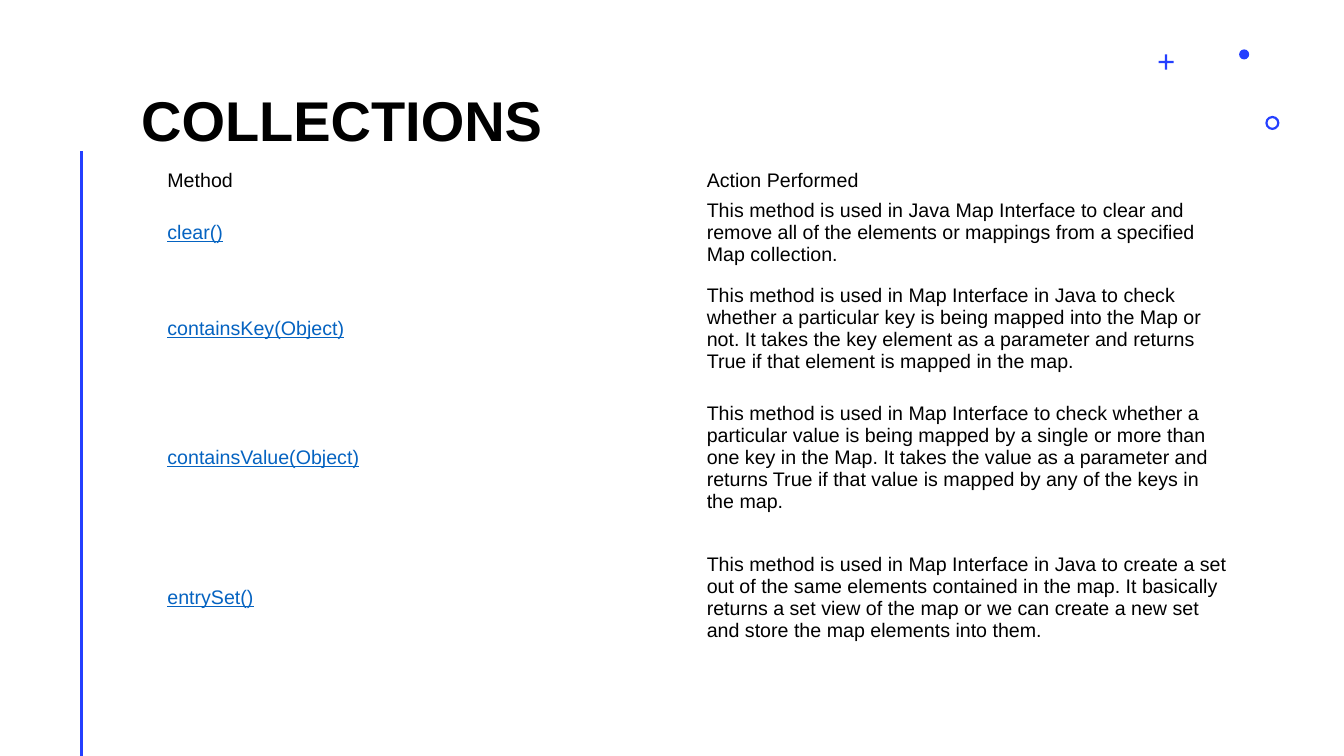
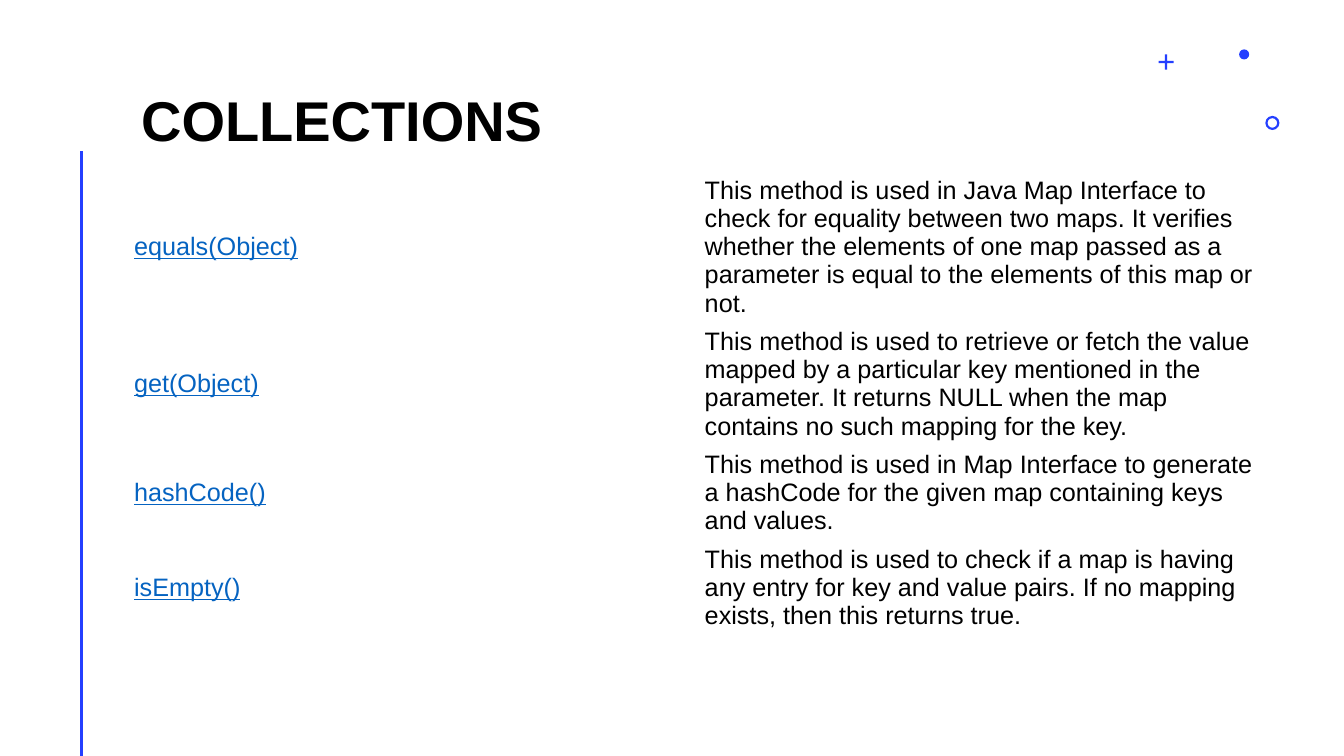
from pptx import Presentation
from pptx.dml.color import RGBColor
from pptx.enum.shapes import MSO_CONNECTOR, MSO_SHAPE
from pptx.enum.text import MSO_ANCHOR, MSO_AUTO_SIZE, PP_ALIGN
from pptx.oxml.ns import qn
from pptx.util import Inches, Pt
from lxml import etree

ACCENT = RGBColor(0x24, 0x3F, 0xFF)
LINK = RGBColor(0x05, 0x63, 0xC1)
BLACK = RGBColor(0x00, 0x00, 0x00)
FONT = "Arial"

# Accent marks: preset, left, top, size, adjustment
MARKS = [
    (MSO_SHAPE.CROSS, 11.49, 0.54, 0.15, 0.43),
    (MSO_SHAPE.DONUT, 12.55, 1.15, 0.14, 0.16),
    (MSO_SHAPE.OVAL, 12.29, 0.49, 0.1, None),
]

# One method table per slide
TABLES = [
    {
        "left": 1.58, "top": 1.64, "column": 5.35, "size": 14,
        "heights": [0.29, 0.73, 1.17, 1.39, 1.39],
        "margins": (0.08, 0.04),
        "rows": [
            ("Method", "Action Performed"),
            ("clear()",
             "This method is used in Java Map Interface to clear and remove all of "
             "the elements or mappings from a specified Map collection."),
            ("containsKey(Object)",
             "This method is used in Map Interface in Java to check whether a "
             "particular key is being mapped into the Map or not. It takes the key "
             "element as a parameter and returns True if that element is mapped in "
             "the map."),
            ("containsValue(Object)",
             "This method is used in Map Interface to check whether a particular "
             "value is being mapped by a single or more than one key in the Map. It "
             "takes the value as a parameter and returns True if that value is "
             "mapped by any of the keys in the map."),
            ("entrySet()",
             "This method is used in Map Interface in Java to create a set out of "
             "the same elements contained in the map. It basically returns a set "
             "view of the map or we can create a new set and store the map elements "
             "into them."),
        ],
    },
    {
        "left": 1.23, "top": 1.7, "column": 5.66, "size": 18,
        "heights": [1.5, 1.22, 0.94, 0.94],
        "margins": (0.1, 0.05),
        "rows": [
            ("equals(Object)",
             "This method is used in Java Map Interface to check for equality "
             "between two maps. It verifies whether the elements of one map passed "
             "as a parameter is equal to the elements of this map or not."),
            ("get(Object)",
             "This method is used to retrieve or fetch the value mapped by a "
             "particular key mentioned in the parameter. It returns NULL when the "
             "map contains no such mapping for the key."),
            ("hashCode()",
             "This method is used in Map Interface to generate a hashCode for the "
             "given map containing keys and values."),
            ("isEmpty()",
             "This method is used to check if a map is having any entry for key and "
             "value pairs. If no mapping exists, then this returns true."),
        ],
    },
]


def set_format(target, values):
    for name, value in values.items():
        setattr(target, name, value)


def write_text(frame, text, size, color, bold=False, underline=False):
    para = frame.paragraphs[0]
    para.alignment = PP_ALIGN.LEFT
    span = para.add_run()
    span.text = text
    set_format(span.font, {"name": FONT, "size": Pt(size), "bold": bold,
                           "underline": underline})
    span.font.color.rgb = color
    return para


deck = Presentation()
deck.slide_width = Inches(13.33)
deck.slide_height = Inches(7.5)
layout = deck.slide_layouts[5]
pages = [deck.slides.add_slide(layout) for _ in TABLES]

# Shared layout: title place, side line and accent marks
set_format(layout.placeholders[0], {
    "left": Inches(1.4), "top": Inches(0.75),
    "width": Inches(9.99), "height": Inches(0.77)})

drawing = pages[0].shapes
side_line = drawing.add_connector(MSO_CONNECTOR.STRAIGHT, Inches(0.81), Inches(1.5),
                                  Inches(0.81), Inches(7.5))
side_line.line.color.rgb = ACCENT
side_line.line.width = Pt(2)
etree.SubElement(side_line.element.spPr, qn("a:effectLst"))
layout.shapes.element.append(side_line.element)

for preset, left, top, size, adjustment in MARKS:
    mark = drawing.add_shape(preset, Inches(left), Inches(top), Inches(size), Inches(size))
    mark.shadow.inherit = False
    mark.fill.solid()
    mark.fill.fore_color.rgb = ACCENT
    mark.line.fill.background()
    if adjustment is not None:
        mark.adjustments[0] = adjustment
    layout.shapes.element.append(mark.element)

for page, content in zip(pages, TABLES):
    # Title
    frame = page.shapes.title.text_frame
    set_format(frame, {"margin_left": 0, "margin_top": 0, "margin_right": 0,
                       "margin_bottom": 0, "vertical_anchor": MSO_ANCHOR.BOTTOM,
                       "auto_size": MSO_AUTO_SIZE.NONE})
    para = write_text(frame, "COLLECTIONS", 40, BLACK, bold=True)
    para.line_spacing = Pt(40)

    # Method table
    rows, heights = content["rows"], content["heights"]
    table = page.shapes.add_table(
        len(rows), 2, Inches(content["left"]), Inches(content["top"]),
        Inches(2 * content["column"]), Inches(sum(heights))).table
    set_format(table, {"first_row": False, "horz_banding": False})
    for column in table.columns:
        column.width = Inches(content["column"])
    side, edge = (Inches(margin) for margin in content["margins"])
    for row, height, texts in zip(table.rows, heights, rows):
        row.height = Inches(height)
        for cell, text in zip(row.cells, texts):
            cell.fill.background()
            set_format(cell, {"margin_left": side, "margin_right": side,
                              "margin_top": edge, "margin_bottom": edge,
                              "vertical_anchor": MSO_ANCHOR.MIDDLE})
            is_method = text.endswith(")")
            write_text(cell.text_frame, text, content["size"],
                       LINK if is_method else BLACK, underline=is_method)

deck.save("out.pptx")
